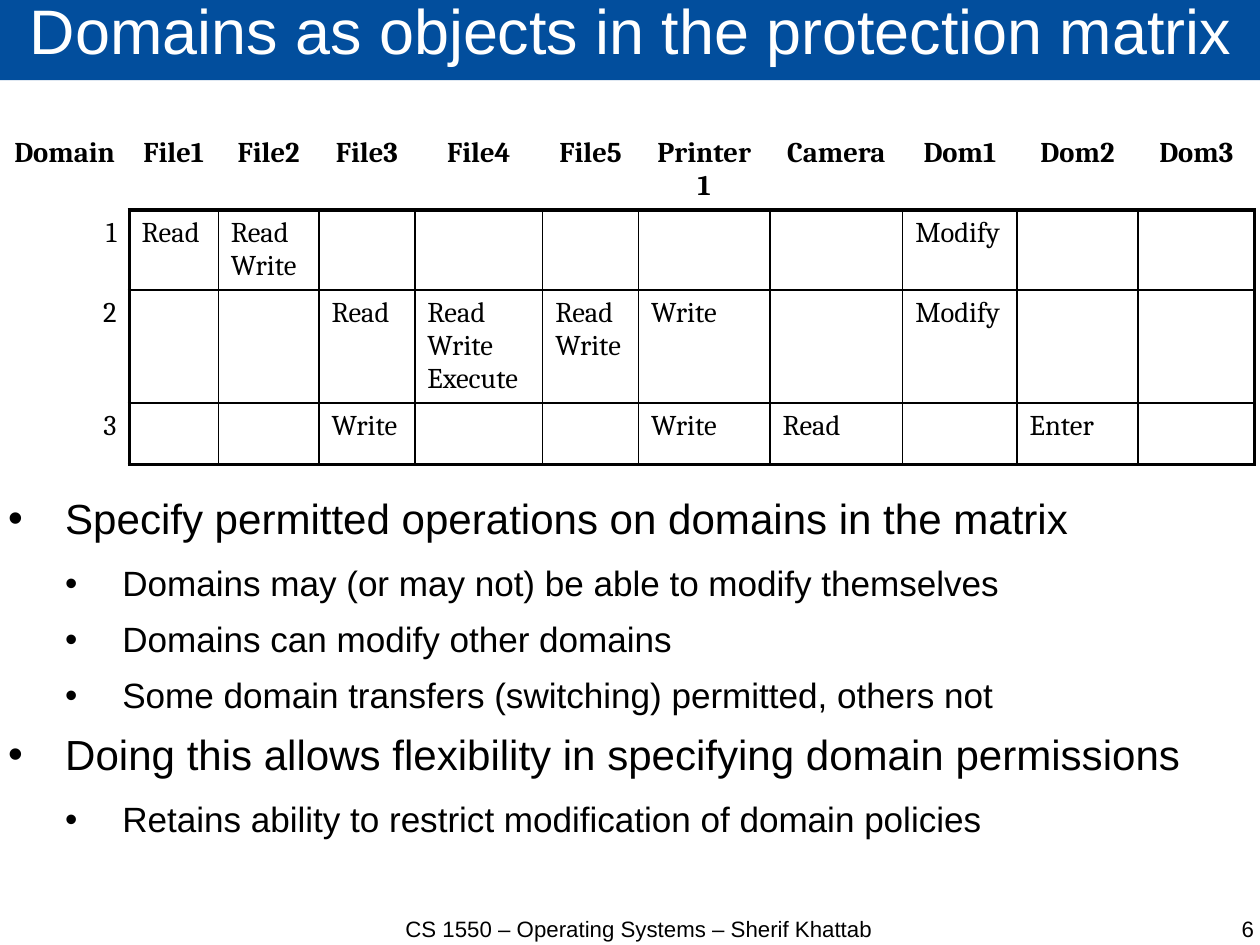
from lxml import etree
from pptx import Presentation
from pptx.dml.color import RGBColor
from pptx.enum import text as t
from pptx.oxml.ns import qn
from pptx.util import Cm, Pt

TITLE = "Domains as objects in the protection matrix"
HEADS = ["Domain", "File1", "File2", "File3", "File4", "File5",
         "Printer1", "Camera", "Dom1", "Dom2", "Dom3"]
RIGHTS = {
    "1": {"File1": "Read", "File2": "Read Write", "Dom1": "Modify"},
    "2": {"File3": "Read", "File4": "Read Write Execute",
          "File5": "Read Write", "Printer1": "Write", "Dom1": "Modify"},
    "3": {"File3": "Write", "Printer1": "Write", "Camera": "Read",
          "Dom2": "Enter"},
}
POINTS = [
    (0, "Specify permitted operations on domains in the matrix"),
    (1, "Domains may (or may not) be able to modify themselves"),
    (1, "Domains can modify other domains"),
    (1, "Some domain transfers (switching) permitted, others not"),
    (0, "Doing this allows flexibility in specifying domain permissions"),
    (1, "Retains ability to restrict modification of domain policies"),
]
FOOT = "CS 1550 – Operating Systems – Sherif Khattab"
PAGE = "6"

THEME = {
    "blue": "024E9D", "white": "FFFFFF", "black": "000000",
    "sans": "Arial", "serif": "Cambria",
    "title": 39.6, "points": (26.5, 22.1), "after": (14.2, 11.4),
    "cell": 18, "foot": 14, "thick": 2.25, "thin": 1,
}
WIDTHS = [2.87, 1.98, 2.24, 2.13, 2.84, 2.13, 2.92, 2.95, 2.54, 2.69, 2.59]
HEIGHTS = [1.02, 1.78, 2.51, 1.37]
INDENT = 1.27
LEFT, RIGHT, MID = t.PP_ALIGN.LEFT, t.PP_ALIGN.RIGHT, t.PP_ALIGN.CENTER


def add_run(para, words, size, face="sans", color="black", bold=False):
    run = para.add_run()
    run.text = words
    font = run.font
    font.name, font.size, font.bold = THEME[face], Pt(size), bold
    font.color.rgb = RGBColor.from_string(THEME[color])


def clear(frame):
    """Make a text frame wrap, with no insets and no resizing."""
    frame.word_wrap = True
    frame.auto_size = t.MSO_AUTO_SIZE.NONE
    frame.margin_left = frame.margin_right = 0
    frame.margin_top = frame.margin_bottom = 0
    return frame


def add_box(slide, left, top, width, height):
    box = slide.shapes.add_textbox(Cm(left), Cm(top), Cm(width), Cm(height))
    return clear(box.text_frame)


def add_bullet(para, level):
    props = para._p.get_or_add_pPr()
    props.set("marL", str(Cm(INDENT * (level + 1))))
    props.set("indent", str(-Cm(INDENT)))
    color = etree.SubElement(props, qn("a:buClr"))
    etree.SubElement(color, qn("a:srgbClr"), val=THEME["black"])
    etree.SubElement(props, qn("a:buFont"), typeface=THEME["sans"])
    etree.SubElement(props, qn("a:buChar"), char="•")


def edges(row, col):
    """Give a cell's line widths: thick round the rights, thin between."""
    thick, thin = THEME["thick"], THEME["thin"]
    if row == 0:
        return {"lnB": thick} if col else {}
    if col == 0:
        return {"lnR": thick}
    return {
        "lnL": thick if col == 1 else thin,
        "lnR": thick if col == len(WIDTHS) - 1 else thin,
        "lnT": thick if row == 1 else thin,
        "lnB": thick if row == len(HEIGHTS) - 1 else thin,
    }


def rule_cell(cell, sides):
    props = cell._tc.get_or_add_tcPr()
    for side in ("lnL", "lnR", "lnT", "lnB"):
        line = etree.SubElement(props, qn("a:" + side))
        if side in sides:
            line.set("w", str(Pt(sides[side])))
            fill = etree.SubElement(line, qn("a:solidFill"))
            etree.SubElement(fill, qn("a:srgbClr"), val=THEME["black"])
        else:
            etree.SubElement(line, qn("a:noFill"))
    cell.fill.background()


def fill_cell(cell, words, align, bold):
    cell.margin_left = cell.margin_right = Cm(0.28)
    cell.margin_top = cell.margin_bottom = Cm(0.15)
    para = cell.text_frame.paragraphs[0]
    para.alignment = align
    para.font.size = Pt(THEME["cell"])
    for n, word in enumerate(words.split()):
        if n:
            para.add_line_break()
        add_run(para, word, THEME["cell"], "serif", bold=bold)


def add_title(slide):
    head = slide.shapes.title
    head.left, head.top = Cm(0), Cm(-0.05)
    head.width, head.height = Cm(28.04), Cm(1.83)
    head.fill.solid()
    head.fill.fore_color.rgb = RGBColor.from_string(THEME["blue"])
    frame = clear(head.text_frame)
    frame.vertical_anchor = t.MSO_ANCHOR.MIDDLE
    para = frame.paragraphs[0]
    para.alignment, para.line_spacing = MID, 0.69
    add_run(para, TITLE, THEME["title"], color="white")


def add_matrix(slide):
    rows = [HEADS] + [[dom] + [cells.get(name, "") for name in HEADS[1:]]
                      for dom, cells in RIGHTS.items()]
    grid = slide.shapes.add_table(
        len(rows), len(HEADS), Cm(0), Cm(2.9),
        Cm(sum(WIDTHS)), Cm(sum(HEIGHTS))).table
    grid.first_row = grid.horz_banding = False
    for col, width in zip(grid.columns, WIDTHS):
        col.width = Cm(width)
    for r, row in enumerate(rows):
        grid.rows[r].height = Cm(HEIGHTS[r])
        for c, words in enumerate(row):
            align = MID if r == 0 else LEFT if c else RIGHT
            cell = grid.cell(r, c)
            fill_cell(cell, words, align, r == 0)
            rule_cell(cell, edges(r, c))


def add_points(slide):
    frame = add_box(slide, 0.18, 11.07, 27.8, 8.6)
    for n, (level, words) in enumerate(POINTS):
        para = frame.add_paragraph() if n else frame.paragraphs[0]
        para.level, para.line_spacing = level, 0.9
        para.space_after = Pt(THEME["after"][level])
        add_bullet(para, level)
        add_run(para, words, THEME["points"][level])


def add_foot(slide):
    for left, width, align, words in ((7.8, 12.8, MID, FOOT),
                                      (21.44, 6.43, RIGHT, PAGE)):
        para = add_box(slide, left, 20.35, width, 0.65).paragraphs[0]
        para.alignment = align
        add_run(para, words, THEME["foot"])


def main():
    deck = Presentation()
    deck.slide_width, deck.slide_height = Cm(28), Cm(21)
    slide = deck.slides.add_slide(deck.slide_layouts[5])
    add_title(slide)
    add_points(slide)
    add_foot(slide)
    add_matrix(slide)
    deck.save("out.pptx")


if __name__ == "__main__":
    main()
